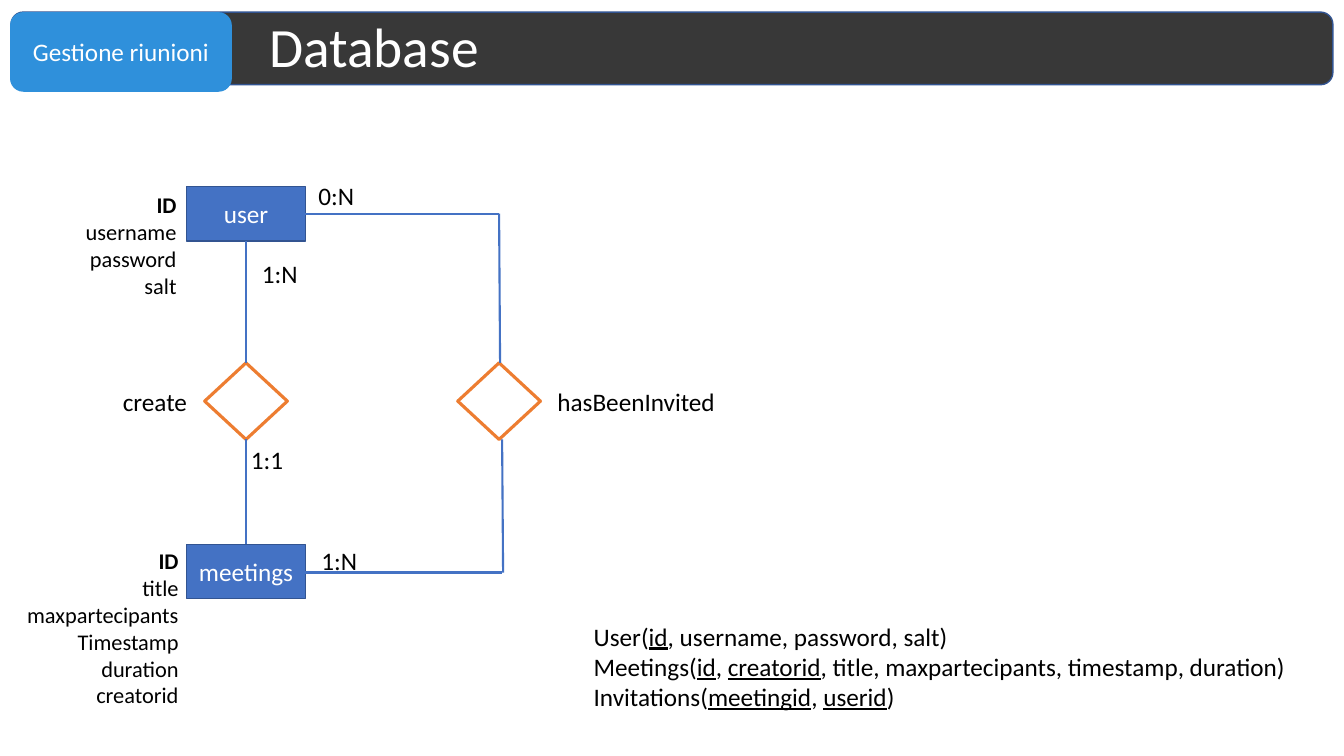
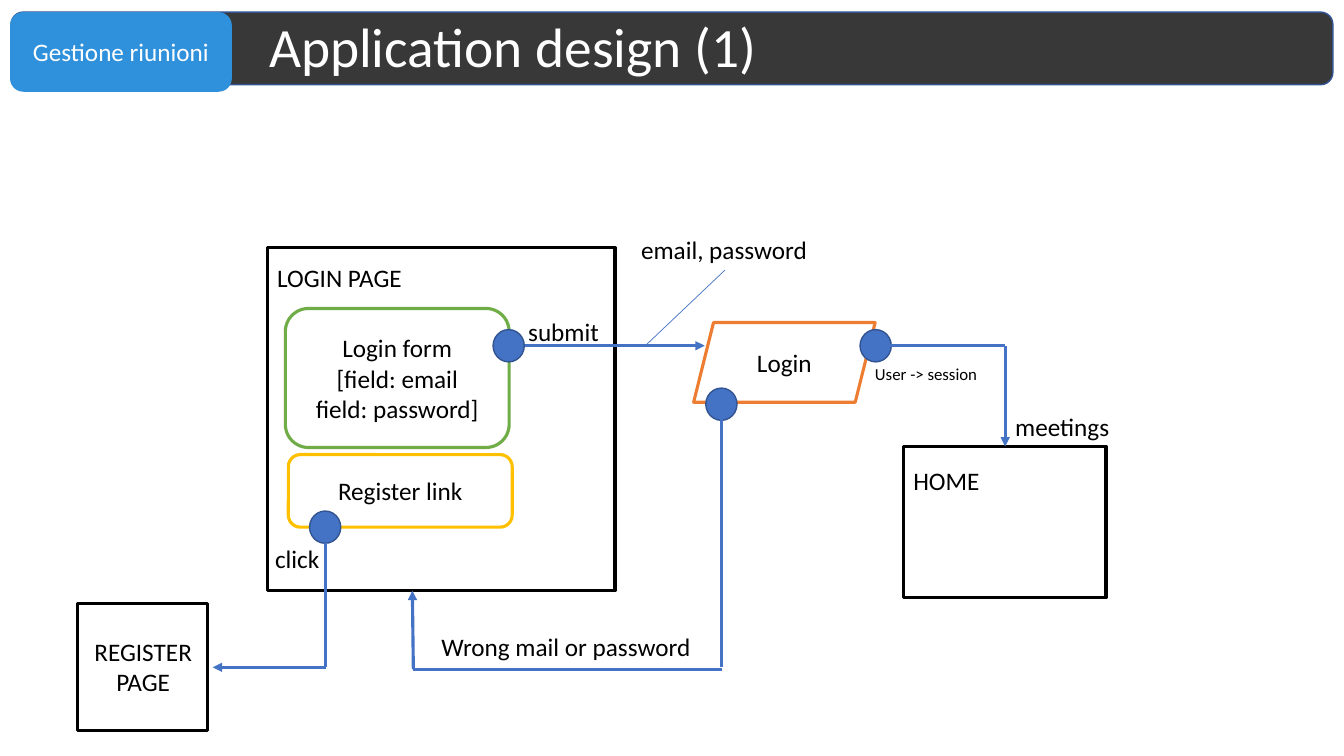
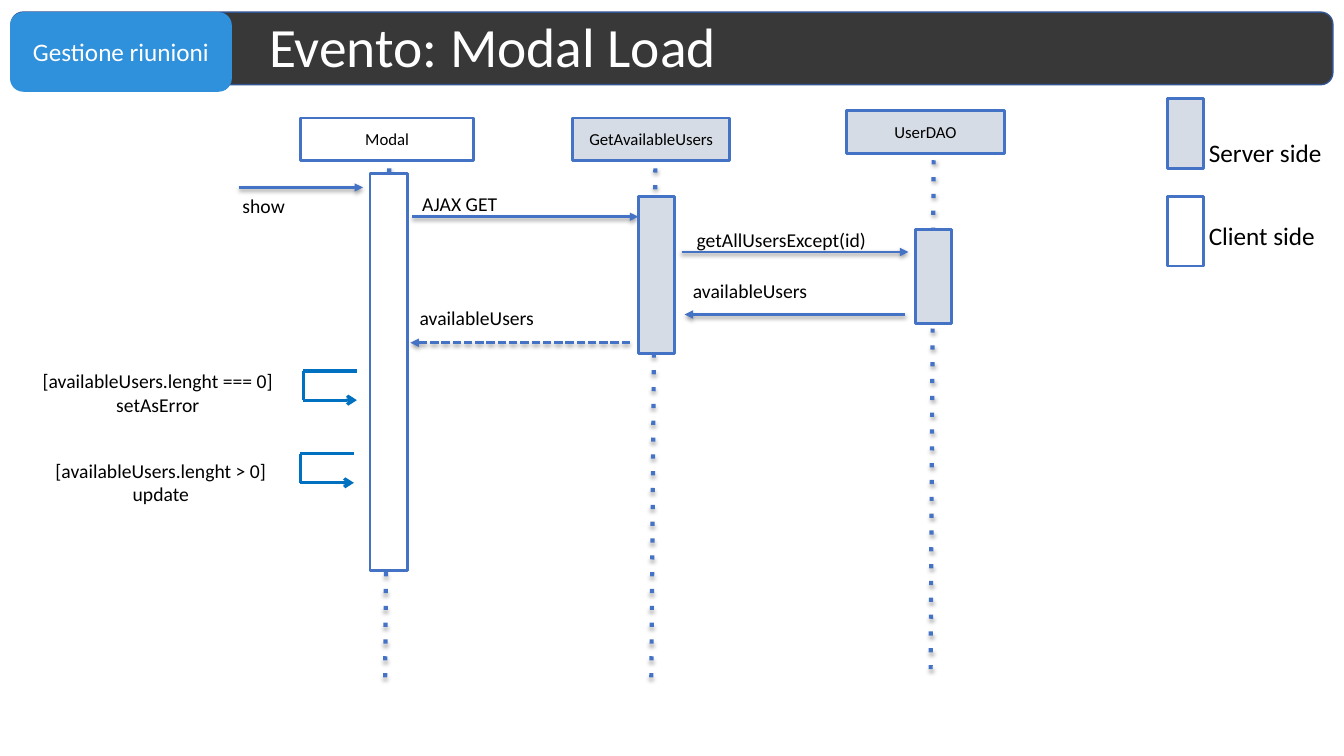
from pptx import Presentation
from pptx.dml.color import RGBColor
from pptx.enum.shapes import MSO_CONNECTOR, MSO_SHAPE
from pptx.enum.text import MSO_ANCHOR, MSO_AUTO_SIZE, PP_ALIGN
from pptx.oxml.ns import qn
from pptx.util import Inches, Pt
from lxml.etree import SubElement

FONT = "Calibri"
BLACK, WHITE = "000000", "FFFFFF"
BLUE, NAVY, LOOP_BLUE = "4472C4", "325491", "0070C0"
ORANGE, GREEN, YELLOW, GREY = "ED7D31", "70AD47", "FFC000", "D6DCE5"
RECT, ROUND = MSO_SHAPE.RECTANGLE, MSO_SHAPE.ROUNDED_RECTANGLE
LEFT, CENTER, RIGHT = PP_ALIGN.LEFT, PP_ALIGN.CENTER, PP_ALIGN.RIGHT
WIDE = (0.12, 0.06)
ARROW_SHADOW = (38, 3.1, 1.6)
LIFE_SHADOW = (35, 3.1, 1.8)


def box(s, kind, x, y, w, h, text=(), size=18, color=BLACK, align=CENTER,
        fill=None, line=None, width=2.25, inset=(0.1, 0.05), wrap=True):
    area = [Inches(v) for v in (x, y, w, h)]
    if kind is None:
        sp = s.shapes.add_textbox(*area)
    else:
        sp = s.shapes.add_shape(kind, *area)
        sp.shadow.inherit = False
        sp.fill.solid()
        sp.fill.fore_color.rgb = RGBColor.from_string(fill)
        if line:
            sp.line.color.rgb = RGBColor.from_string(line)
            sp.line.width = Pt(width)
        else:
            sp.line.fill.background()
    tf = sp.text_frame
    tf.word_wrap = wrap
    tf.auto_size = MSO_AUTO_SIZE.NONE if wrap else MSO_AUTO_SIZE.SHAPE_TO_FIT_TEXT
    tf.vertical_anchor = MSO_ANCHOR.TOP if kind is None else MSO_ANCHOR.MIDDLE
    tf.margin_left = tf.margin_right = Inches(inset[0])
    tf.margin_top = tf.margin_bottom = Inches(inset[1])
    for i, runs in enumerate([text] if isinstance(text, str) else text):
        p = tf.add_paragraph() if i else tf.paragraphs[0]
        p.alignment = align
        for content, style in [(runs, "")] if isinstance(runs, str) else runs:
            r = p.add_run()
            r.text = content
            r.font.name = FONT
            r.font.size = Pt(size)
            r.font.color.rgb = RGBColor.from_string(color)
            r.font.bold = style == "bold"
            r.font.underline = style == "underline"
    return sp


def link(s, x1, y1, x2, y2, width=2.25, color=BLUE, tail=None, dash=None, shadow=None):
    c = s.shapes.add_connector(MSO_CONNECTOR.STRAIGHT, Inches(x1), Inches(y1),
                               Inches(x2), Inches(y2))
    c.line.color.rgb = RGBColor.from_string(color)
    c.line.width = Pt(width)
    ln = c.line._get_or_add_ln()
    if dash:
        SubElement(ln, qn("a:prstDash"), val=dash)
    if tail:
        SubElement(ln, qn("a:tailEnd"), type=tail)
    effects = SubElement(c._element.spPr, qn("a:effectLst"))
    if shadow:
        alpha, blur, dist = shadow
        outer = SubElement(effects, qn("a:outerShdw"), blurRad=str(Pt(blur)),
                           dist=str(Pt(dist)), dir="5400000", rotWithShape="0")
        tone = SubElement(outer, qn("a:srgbClr"), val=BLACK)
        SubElement(tone, qn("a:alpha"), val=str(alpha * 1000))


prs = Presentation()
prs.slide_width, prs.slide_height = Inches(13.33), Inches(7.5)

slides = []
for title in ("Database", "Application design (1)", "Evento: Modal Load"):
    s = prs.slides.add_slide(prs.slide_layouts[6])
    box(s, ROUND, 0.11, 0.12, 13.11, 0.72, fill="383838", line=NAVY, width=1)
    box(s, ROUND, 0.1, 0.12, 2.2, 0.79, "Gestione riunioni", color=WHITE, fill="2F90DB")
    sp = box(s, None, 2.57, 0.12, 10.63, 0.74, title, 39.6, WHITE, LEFT)
    sp.text_frame.vertical_anchor = MSO_ANCHOR.MIDDLE
    sp.text_frame.paragraphs[0].line_spacing = 0.9
    slides.append(s)
database, design, event = slides

s = database
for name, y in (("user", 1.85), ("meetings", 5.4)):
    box(s, RECT, 1.85, y, 1.18, 0.54, name, color=WHITE, fill=BLUE, line=NAVY, width=1)
for x, y, w, h, fields in (
    (0.65, 1.85, 1.2, 1.18, ["username", "password", "salt"]),
    (0.16, 5.38, 1.71, 1.72,
     ["title", "maxpartecipants", "Timestamp", "duration", "creatorid"]),
):
    box(s, None, x, y, w, h, [[("ID", "bold")]] + fields, 16, align=RIGHT)
for x in (2.03, 4.54):
    box(s, MSO_SHAPE.DIAMOND, x, 3.6, 0.82, 0.76, fill=WHITE, line=ORANGE)
for ends in (
    (2.44, 2.39, 2.44, 3.6), (2.44, 4.36, 2.44, 5.4),
    (3.03, 2.12, 4.95, 2.12), (4.95, 2.12, 4.96, 3.6),
    (3.03, 5.68, 4.98, 5.68), (4.98, 4.36, 4.99, 5.68),
):
    link(s, *ends, width=1.5)
for text, x, y, w in (
    ("create", 1.12, 3.78, 0.85), ("hasBeenInvited", 5.43, 3.78, 1.78),
    ("0:N", 3.06, 1.74, 0.56), ("1:N", 3.09, 5.36, 0.56),
    ("1:1", 2.39, 4.36, 0.53), ("1:N", 2.5, 2.51, 0.56),
):
    box(s, None, x, y, w, 0.4, text, align=LEFT, wrap=False)
box(s, None, 5.79, 6.11, 7.13, 1.01, [
    [("User(", ""), ("id", "underline"), (", username, password, salt)", "")],
    [("Meetings(", ""), ("id", "underline"), (", ", ""), ("creatorid", "underline"),
     (", title, maxpartecipants, timestamp, duration)", "")],
    [("Invitations(", ""), ("meetingid", "underline"), (", ", ""),
     ("userid", "underline"), (")", "")],
], align=LEFT)

s = design
for x, y, w, h in ((2.65, 2.46, 3.45, 3.4), (8.96, 4.43, 2.01, 1.5), (0.77, 5.99, 1.29, 1.26)):
    box(s, RECT, x, y, w, h, fill=WHITE, line=BLACK)
box(s, ROUND, 2.83, 3.06, 2.22, 1.38, ["Login form", "[field: email", "field: password]"],
    fill=WHITE, line=GREEN)
box(s, ROUND, 2.86, 4.51, 2.22, 0.72, "Register link", fill=WHITE, line=YELLOW)
box(s, MSO_SHAPE.PARALLELOGRAM, 6.88, 3.2, 1.8, 0.79, "Login", fill=WHITE, line=ORANGE)
for x, y in ((4.89, 3.27), (7, 3.85), (8.53, 3.27), (3.07, 5.07)):
    box(s, MSO_SHAPE.OVAL, x, y, 0.31, 0.32, fill=BLUE, line=NAVY, width=1)
for ends in (
    (8.68, 3.43, 9.97, 3.43), (7.16, 4.13, 7.16, 6.62),
    (4.1, 6.64, 7.16, 6.64), (3.23, 5.39, 3.23, 6.62),
):
    link(s, *ends)
for ends in (
    (5.21, 3.43, 6.99, 3.43), (9.97, 3.43, 9.97, 4.43),
    (4.1, 6.64, 4.09, 5.86), (3.23, 6.62, 2.11, 6.62),
):
    link(s, *ends, tail="triangle")
link(s, 7.19, 2.68, 6.4, 3.43, width=0.5)
for text, x, y, w in (
    ("LOGIN PAGE", 2.65, 2.55, 1.45), ("submit", 5.14, 3.09, 0.91),
    ("email, password", 6.26, 2.28, 1.87), ("HOME", 8.96, 4.57, 0.87),
    ("meetings", 9.97, 4.03, 1.15), ("Wrong mail or password", 4.28, 6.21, 2.7),
    ("click", 2.63, 5.34, 0.65),
):
    box(s, None, x, y, w, 0.4, text, align=LEFT, wrap=False)
box(s, None, 8.58, 3.56, 1.23, 0.3, "User -> session", 12, align=LEFT, wrap=False)
box(s, None, 0.83, 6.26, 1.18, 0.71, ["REGISTER", "PAGE"], wrap=False)

s = event
for name, x, y, w, fill in (
    ("Modal", 2.98, 1.17, 1.72, WHITE), ("GetAvailableUsers", 5.68, 1.17, 1.56, GREY),
    ("UserDAO", 8.4, 1.1, 1.56, GREY),
):
    box(s, RECT, x, y, w, 0.42, name, 12, fill=fill, line=BLUE, width=2, inset=WIDE)
for x1, x2, y in ((3.86, 3.82, 1.67), (6.5, 6.46, 1.67), (9.26, 9.23, 1.59)):
    link(s, x1, y, x2, y + 5.07, width=3, dash="dot", shadow=LIFE_SHADOW)
for x1, x2, y, dash in (
    (2.37, 3.6, 1.86, None), (4.09, 6.33, 2.15, None), (6.76, 9.01, 2.5, None),
    (8.98, 6.79, 3.12, None), (6.25, 4.07, 3.4, "sysDash"),
):
    link(s, x1, y, x2, y, width=2, tail="triangle", dash=dash, shadow=ARROW_SHADOW)
for x, y, w, h, fill in (
    (3.67, 1.72, 0.37, 3.94, WHITE), (6.33, 1.95, 0.36, 1.56, GREY),
    (9.08, 2.28, 0.36, 0.93, GREY),
    (11.58, 0.98, 0.36, 0.69, GREY), (11.58, 1.95, 0.36, 0.69, WHITE),
):
    box(s, RECT, x, y, w, h, fill=fill, line=BLUE, width=2)
for text, x, y, w in (
    ("show", 2.24, 1.86, 0.75), ("AJAX GET", 3.96, 1.84, 1.2),
    ("getAllUsersExcept(id)", 6.63, 2.2, 2.24), ("availableUsers", 6.71, 2.71, 1.46),
    ("availableUsers", 4, 2.98, 1.46),
    (["[availableUsers.lenght === 0]", "setAsError"], 0.26, 3.6, 2.61),
    (["[availableUsers.lenght > 0]", "update"], 0.29, 4.49, 2.61),
):
    box(s, None, x, y, w, 0.3, text, 14, inset=WIDE)
for x, y in ((3.01, 3.68), (2.98, 4.5)):
    loop = s.shapes.add_group_shape()
    right, bottom = x + 0.53, y + 0.29
    link(loop, right, y, x, y, color=LOOP_BLUE)
    link(loop, x, y, x, bottom, color=LOOP_BLUE)
    link(loop, x, bottom, right, bottom, color=LOOP_BLUE, tail="arrow")
for text, y, w in (("Server side", 1.31, 1.39), ("Client side", 2.14, 1.31)):
    box(s, None, 11.89, y, w, 0.4, text, align=LEFT, wrap=False)

prs.save("out.pptx")
